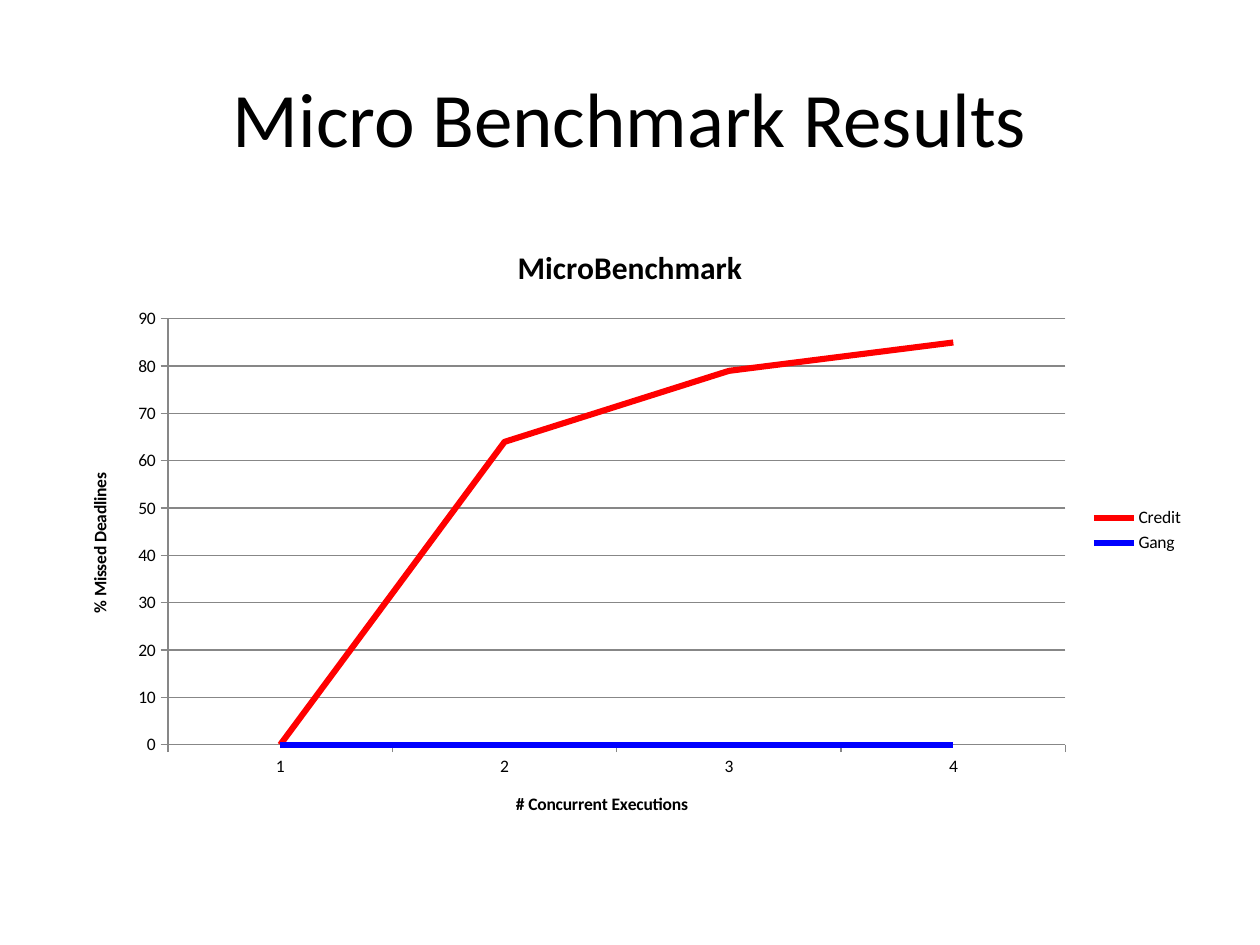
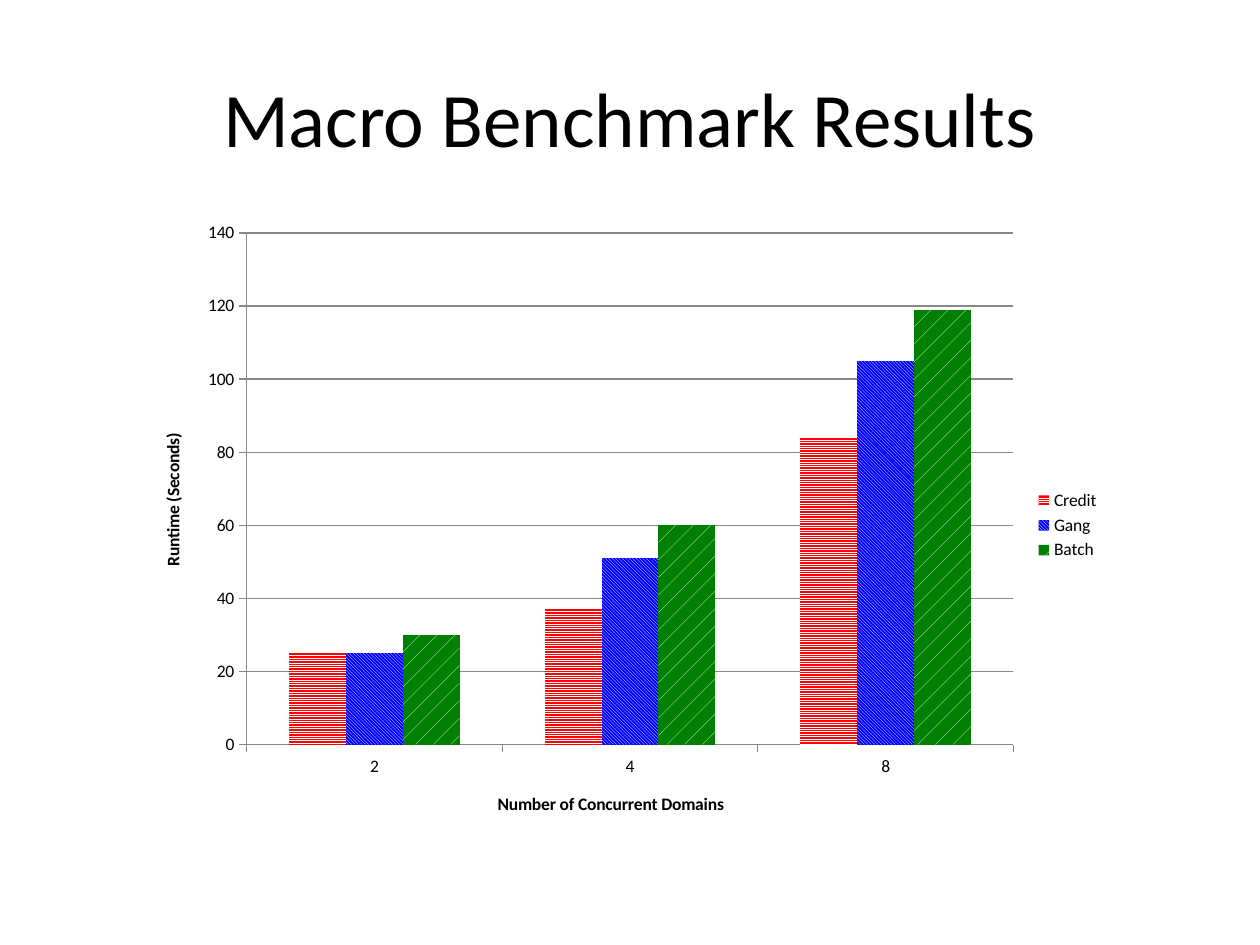
"""Build two benchmark result slides, each with a title and a chart."""
import pptx
import pptx.chart.data
import pptx.dml.color
import pptx.enum.chart
import pptx.enum.dml
import pptx.enum.text
import pptx.util

Inches, Pt = pptx.util.Inches, pptx.util.Pt
CHART_TYPE = pptx.enum.chart.XL_CHART_TYPE
PATTERN = pptx.enum.dml.MSO_PATTERN

COLORS = {"text": "000000", "paper": "FFFFFF", "axis": "878787",
          "Credit": "FF0000", "Gang": "0000FF", "Batch": "008000"}
FONT = "Calibri"
TITLE_BOX = (0.5, 0.3, 9, 1.25)
PATTERNS = {"Credit": PATTERN.LIGHT_HORIZONTAL,
            "Gang": PATTERN.LIGHT_DOWNWARD_DIAGONAL,
            "Batch": PATTERN.PERCENT_5}
SLIDES = [
    {"title": "Micro Benchmark Results", "type": CHART_TYPE.LINE,
     "box": (0.5, 1.75, 9, 4.92), "chart_title": "MicroBenchmark",
     "category_title": "# Concurrent Executions",
     "value_title": "% Missed Deadlines", "maximum": 90, "step": 10,
     "categories": ["1", "2", "3", "4"],
     "series": {"Credit": [0, 64, 79, 85], "Gang": [0, 0, 0, 0]}},
    {"title": "Macro Benchmark Results", "type": CHART_TYPE.COLUMN_CLUSTERED,
     "box": (1.08, 1.67, 7.75, 5), "chart_title": None,
     "category_title": "Number of Concurrent Domains",
     "value_title": "Runtime (Seconds)", "maximum": 140, "step": 20,
     "categories": ["2", "4", "8"],
     "series": {"Credit": [25, 37, 84], "Gang": [25, 51, 105],
                "Batch": [30, 60, 119]}},
]


def color(name):
    return pptx.dml.color.RGBColor.from_string(COLORS[name])


def set_attributes(target, values):
    for name, value in values.items():
        setattr(target, name, value)


def format_font(font, size, bold=False):
    set_attributes(font, {"name": FONT, "size": Pt(size), "bold": bold})
    font.color.rgb = color("text")


def format_line(line, name, width):
    line.color.rgb = color(name)
    line.width = Pt(width)


def write(frame, text, size, bold=False):
    paragraph = frame.paragraphs[0]
    paragraph.alignment = pptx.enum.text.PP_ALIGN.CENTER
    run = paragraph.add_run()
    run.text = text
    format_font(run.font, size, bold)


def add_title(slide, text):
    frame = slide.shapes.add_textbox(*map(Inches, TITLE_BOX)).text_frame
    set_attributes(frame, {"word_wrap": True,
                           "vertical_anchor": pptx.enum.text.MSO_ANCHOR.MIDDLE})
    write(frame, text, 44)


def format_axis(axis, title):
    axis.major_tick_mark = pptx.enum.chart.XL_TICK_MARK.OUTSIDE
    format_line(axis.format.line, "axis", 0.75)
    write(axis.axis_title.text_frame, title, 10, True)


def format_series(series, is_line):
    if is_line:
        format_line(series.format.line, series.name, 3.5)
        series.marker.style = pptx.enum.chart.XL_MARKER_STYLE.NONE
        series.smooth = False
    else:
        fill = series.format.fill
        fill.patterned()
        fill.pattern = PATTERNS[series.name]
        fill.fore_color.rgb = color("paper")
        fill.back_color.rgb = color(series.name)


def add_chart(slide, content):
    data = pptx.chart.data.CategoryChartData()
    data.categories = content["categories"]
    for name, values in content["series"].items():
        data.add_series(name, values)
    chart = slide.shapes.add_chart(
        content["type"], *map(Inches, content["box"]), data).chart
    format_font(chart.font, 10)
    chart.has_title = bool(content["chart_title"])
    if chart.has_title:
        write(chart.chart_title.text_frame, content["chart_title"], 18, True)
    chart.has_legend = True
    set_attributes(chart.legend, {
        "position": pptx.enum.chart.XL_LEGEND_POSITION.RIGHT,
        "include_in_layout": False})
    format_axis(chart.category_axis, content["category_title"])
    format_axis(chart.value_axis, content["value_title"])
    set_attributes(chart.value_axis, {
        "minimum_scale": 0, "maximum_scale": content["maximum"],
        "major_unit": content["step"], "has_major_gridlines": True})
    format_line(chart.value_axis.major_gridlines.format.line, "axis", 0.75)
    plot = chart.plots[0]
    plot.vary_by_categories = False
    is_line = content["type"] == CHART_TYPE.LINE
    if not is_line:
        set_attributes(plot, {"gap_width": 150, "overlap": 0})
    for series in plot.series:
        format_series(series, is_line)


def main():
    presentation = pptx.Presentation()
    set_attributes(presentation, {"slide_width": Inches(10),
                                  "slide_height": Inches(7.5)})
    for content in SLIDES:
        slide = presentation.slides.add_slide(presentation.slide_layouts[6])
        add_title(slide, content["title"])
        add_chart(slide, content)
    presentation.save("out.pptx")


if __name__ == "__main__":
    main()
